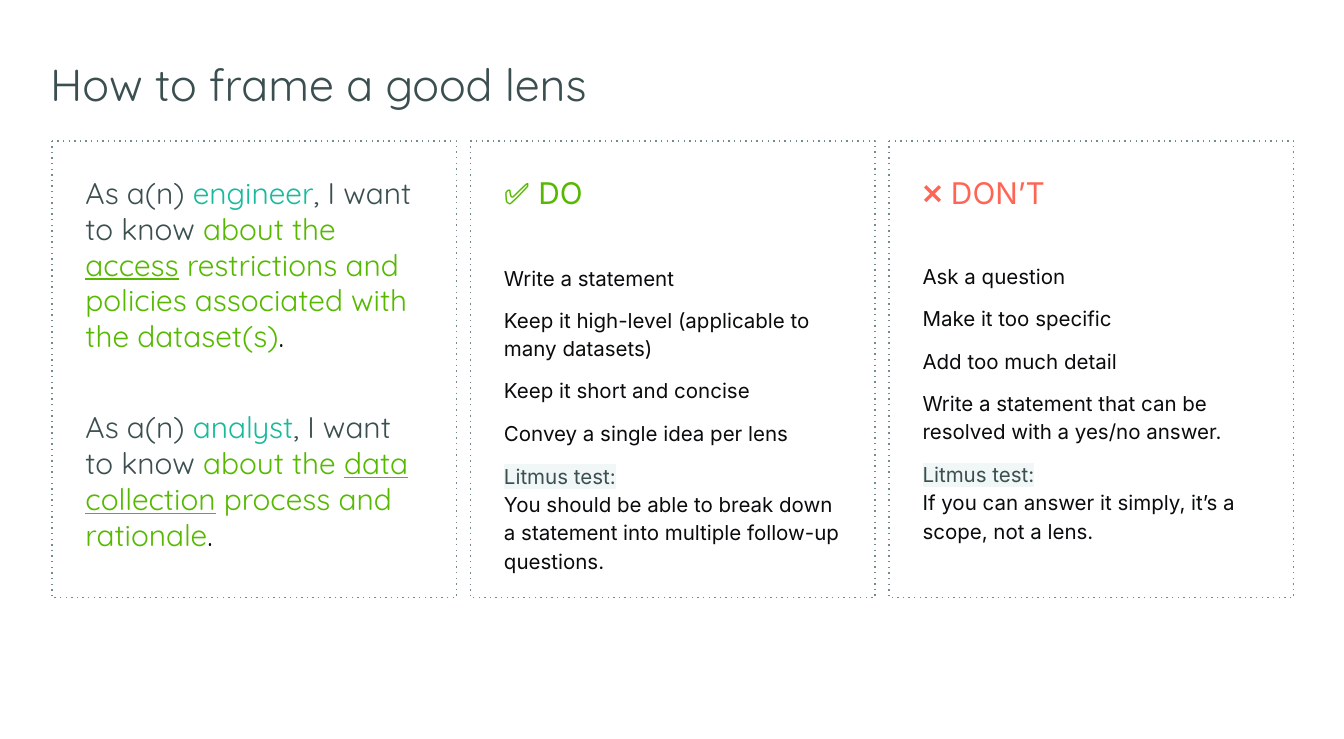
import pptx
import pptx.dml.color
import pptx.enum.shapes
import pptx.enum.text
import pptx.oxml.ns
import pptx.util
from lxml import etree
from pptx.util import Cm

RGBColor = pptx.dml.color.RGBColor
SLATE = RGBColor(0x3C, 0x4F, 0x50)
TEAL = RGBColor(0x19, 0xBA, 0x9B)
GREEN = RGBColor(0x56, 0xB9, 0x00)
RED = RGBColor(0xFF, 0x65, 0x54)
INK = RGBColor(0x09, 0x0B, 0x0C)
BORDER = RGBColor(0x6F, 0x8D, 0x8E)
HIGHLIGHT = RGBColor(0xF1, 0xF7, 0xF7)
qn = pptx.oxml.ns.qn


def add_run(paragraph, text, color, size, font_name, underline=None):
    run = paragraph.add_run()
    run.text = text
    run.font.size = pptx.util.Pt(size)
    run.font.name = font_name
    run.font.color.rgb = color
    run.font.underline = underline
    return run


def add_card(column):
    """Add the dotted frame of one column and return its text frame."""
    card = slide.shapes.add_shape(
        pptx.enum.shapes.MSO_SHAPE.ROUNDED_RECTANGLE,
        Cm(1.96 + 15.82 * column), Cm(5.33), Cm(15.29), Cm(17.27))
    card.adjustments[0] = 0
    card.shadow.inherit = False
    card.fill.background()
    card.line.color.rgb = BORDER
    card.line.width = pptx.util.Pt(1.5)
    dash = etree.SubElement(card.line._get_or_add_ln(), qn("a:prstDash"))
    dash.set("val", "dot")
    frame = card.text_frame
    frame.word_wrap = True
    frame.vertical_anchor = pptx.enum.text.MSO_ANCHOR.TOP
    frame.margin_left = frame.margin_right = Cm(1.27)
    frame.margin_top = frame.margin_bottom = Cm(1.27)
    frame.paragraphs[0].alignment = pptx.enum.text.PP_ALIGN.LEFT
    return frame


presentation = pptx.Presentation()
presentation.slide_width = Cm(50.8)
presentation.slide_height = Cm(27.94)
slide = presentation.slides.add_slide(presentation.slide_layouts[6])

# Title
title = slide.shapes.add_textbox(Cm(1.9), Cm(1.88), Cm(46.99), Cm(2.54)).text_frame
title.word_wrap = True
title.vertical_anchor = pptx.enum.text.MSO_ANCHOR.MIDDLE
title.margin_left = title.margin_right = title.margin_top = title.margin_bottom = 0
add_run(title.paragraphs[0], "How to frame a good lens", SLATE, 48, "Quicksand")

# Example lenses: role, underlined topic, rest of the statement
examples = [
    ("engineer", "access",
     " restrictions and policies associated with the dataset(s)"),
    ("analyst", "data collection", " process and rationale"),
]
frame = add_card(0)
for index, (role, topic, rest) in enumerate(examples):
    paragraph = frame.add_paragraph() if index else frame.paragraphs[0]
    paragraph.alignment = pptx.enum.text.PP_ALIGN.LEFT
    if index:
        paragraph.space_before = pptx.util.Pt(59)
    for text, color, underline in [
        ("As a(n) ", SLATE, None), (role, TEAL, None),
        (", I want to know", SLATE, None), (" about the ", GREEN, None),
        (topic, GREEN, True), (rest, GREEN, None), (".", INK, None),
    ]:
        add_run(paragraph, text, color, 32, "Quicksand", underline)

# Advice cards: heading, colour, gap below the heading, tips, litmus test
advice = [
    ("✅ DO", GREEN, 56,
     ["Write a statement",
      "Keep it high-level (applicable to many datasets)",
      "Keep it short and concise",
      "Convey a single idea per lens"],
     "You should be able to break down a statement into multiple "
     "follow-up questions."),
    ("❌ DON’T", RED, 54,
     ["Ask a question",
      "Make it too specific",
      "Add too much detail",
      "Write a statement that can be resolved with a yes/no answer."],
     "If you can answer it simply, it’s a scope, not a lens."),
]
for column, (heading, color, gap, tips, litmus) in enumerate(advice, start=1):
    frame = add_card(column)
    add_run(frame.paragraphs[0], heading, color, 32, "Inter")
    for index, tip in enumerate(tips):
        paragraph = frame.add_paragraph()
        paragraph.alignment = pptx.enum.text.PP_ALIGN.LEFT
        paragraph.line_spacing = 1.12
        paragraph.space_before = pptx.util.Pt(16 if index else gap)
        add_run(paragraph, tip, INK, 22, "Inter")

    paragraph = frame.add_paragraph()
    paragraph.alignment = pptx.enum.text.PP_ALIGN.LEFT
    paragraph.line_spacing = 1.15
    paragraph.space_before = pptx.util.Pt(16)
    label = add_run(paragraph, "Litmus test:", SLATE, 22, "Inter")
    highlight = etree.Element(qn("a:highlight"))
    etree.SubElement(highlight, qn("a:srgbClr")).set("val", str(HIGHLIGHT))
    label.font._element.find(qn("a:solidFill")).addnext(highlight)
    paragraph.add_line_break()
    add_run(paragraph, litmus, INK, 22, "Inter")

presentation.save("out.pptx")
